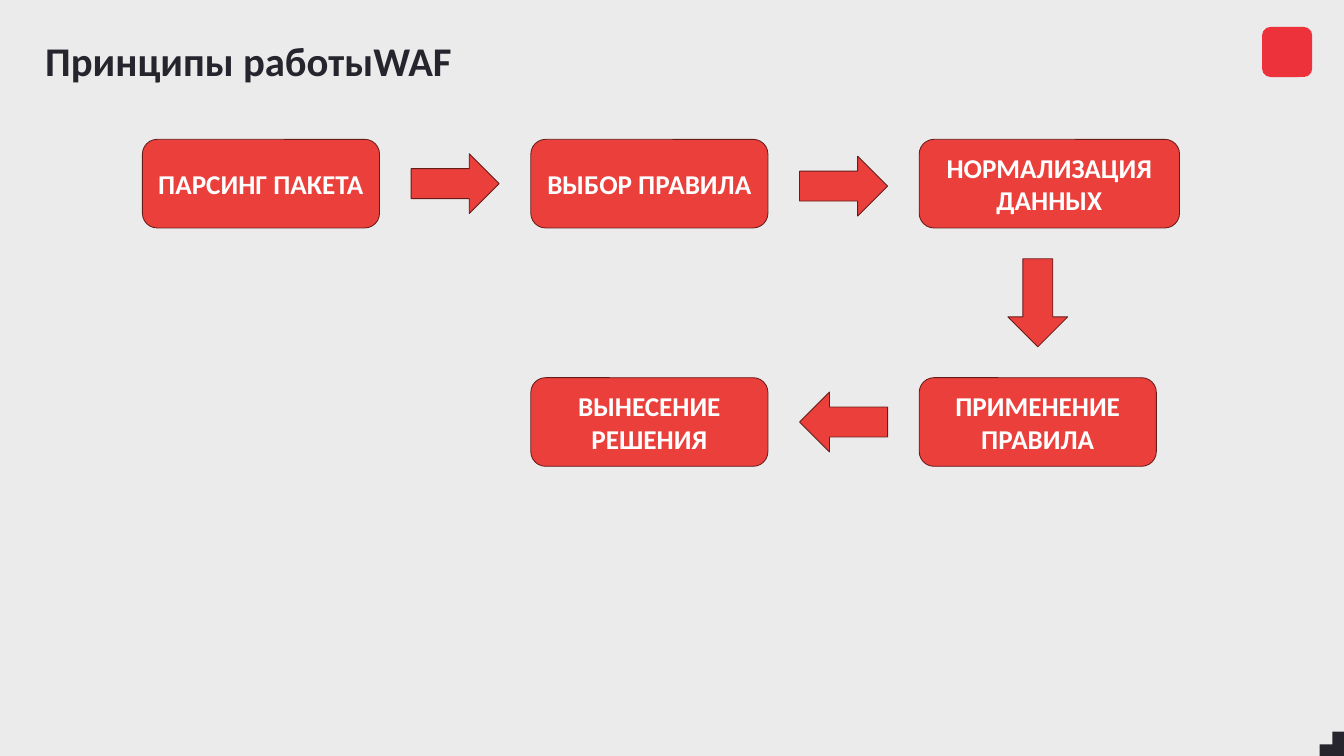
"""Build the slide that shows how a WAF works as a five-step flow."""
from pptx import Presentation
from pptx.dml.color import RGBColor
from pptx.enum.shapes import MSO_SHAPE
from pptx.enum.text import MSO_ANCHOR, MSO_AUTO_SIZE, PP_ALIGN
from pptx.util import Inches, Pt

ROUNDED = MSO_SHAPE.ROUNDED_RECTANGLE
ARROW = MSO_SHAPE.RIGHT_ARROW
MIDDLE = MSO_ANCHOR.MIDDLE
NO_AUTOFIT = MSO_AUTO_SIZE.NONE
LEFT, CENTER = PP_ALIGN.LEFT, PP_ALIGN.CENTER

TITLE = "Принципы работыWAF"
BOX_WIDTH, WIDE_BOX_WIDTH, BOX_HEIGHT = 3.88, 4.26, 1.45
STEPS = [
    ("ПАРСИНГ ПАКЕТА", 0, 0, BOX_WIDTH),
    ("ВЫБОР ПРАВИЛА", 1, 0, BOX_WIDTH),
    ("НОРМАЛИЗАЦИЯ ДАННЫХ", 2, 0, WIDE_BOX_WIDTH),
    ("ПРИМЕНЕНИЕ ПРАВИЛА", 2, 1, BOX_WIDTH),
    ("ВЫНЕСЕНИЕ РЕШЕНИЯ", 1, 1, BOX_WIDTH),
]
ARROWS = [(0.5, 0, 0, 0), (1.5, 0, 0, 0.04), (2, 0.5, 90, 0), (1.5, 1, 180, 0)]

SLIDE_WIDTH, SLIDE_HEIGHT = 21.99, 12.37
FLOW_LEFT, FLOW_TOP = 2.33, 2.28
COLUMN_STEP, ROW_STEP = 6.355, 3.9
ARROW_WIDTH, ARROW_HEIGHT = 1.44, 0.98
CORNER = [(21.59, 12.37), (21.59, 12.18), (21.8, 12.18), (21.8, 11.97), (21.99, 11.97)]

FONT = "Calibri"
BACKGROUND, DARK, WHITE = "EBEBEB", "26242D", "FFFFFF"
RED, OUTLINE, BADGE = "EA3F3B", "671C1A", "EE323C"


def paint(fill, color):
    fill.solid()
    fill.fore_color.rgb = RGBColor.from_string(color)


def style_shape(shape, color, outline=None):
    shape.shadow.inherit = False
    paint(shape.fill, color)
    if outline:
        paint(shape.line.fill, outline)
        shape.line.width = Pt(1)
    else:
        shape.line.fill.background()


def add_shape(slide, kind, left, top, width, height, color, outline=None):
    shape = slide.shapes.add_shape(
        kind, Inches(left), Inches(top), Inches(width), Inches(height))
    style_shape(shape, color, outline)
    return shape


def write(shape, text, size, color, alignment):
    frame = shape.text_frame
    frame.text = text
    frame.word_wrap = True
    frame.auto_size = NO_AUTOFIT
    frame.vertical_anchor = MIDDLE
    paragraph = frame.paragraphs[0]
    paragraph.alignment = alignment
    font = paragraph.runs[0].font
    font.name, font.size, font.bold = FONT, Pt(size), True
    font.color.rgb = RGBColor.from_string(color)


def add_title(slide):
    title = slide.shapes.title
    title.left, title.top = Inches(0.64), Inches(0.5)
    title.width, title.height = Inches(18.97), Inches(0.98)
    write(title, TITLE, 48, DARK, LEFT)


def add_decoration(slide):
    add_shape(slide, ROUNDED, 20.65, 0.44, 0.82, 0.82, BADGE)
    points = [(Inches(x), Inches(y)) for x, y in CORNER]
    builder = slide.shapes.build_freeform(Inches(SLIDE_WIDTH), Inches(SLIDE_HEIGHT))
    builder.add_line_segments(points, close=True)
    style_shape(builder.convert_to_shape(), DARK)


def add_flow(slide):
    for text, column, row, width in STEPS:
        left = FLOW_LEFT + column * COLUMN_STEP
        top = FLOW_TOP + row * ROW_STEP
        box = add_shape(slide, ROUNDED, left, top, width, BOX_HEIGHT, RED, OUTLINE)
        write(box, text, 32, WHITE, CENTER)
    for column, row, rotation, drop in ARROWS:
        left = FLOW_LEFT + column * COLUMN_STEP + (BOX_WIDTH - ARROW_WIDTH) / 2
        top = FLOW_TOP + row * ROW_STEP + (BOX_HEIGHT - ARROW_HEIGHT) / 2 + drop
        arrow = add_shape(slide, ARROW, left, top, ARROW_WIDTH, ARROW_HEIGHT, RED, OUTLINE)
        arrow.rotation = rotation


def main():
    presentation = Presentation()
    presentation.slide_width = Inches(SLIDE_WIDTH)
    presentation.slide_height = Inches(SLIDE_HEIGHT)
    slide = presentation.slides.add_slide(presentation.slide_layouts[5])
    paint(slide.background.fill, BACKGROUND)
    add_title(slide)
    add_decoration(slide)
    add_flow(slide)
    presentation.save("out.pptx")


if __name__ == "__main__":
    main()
